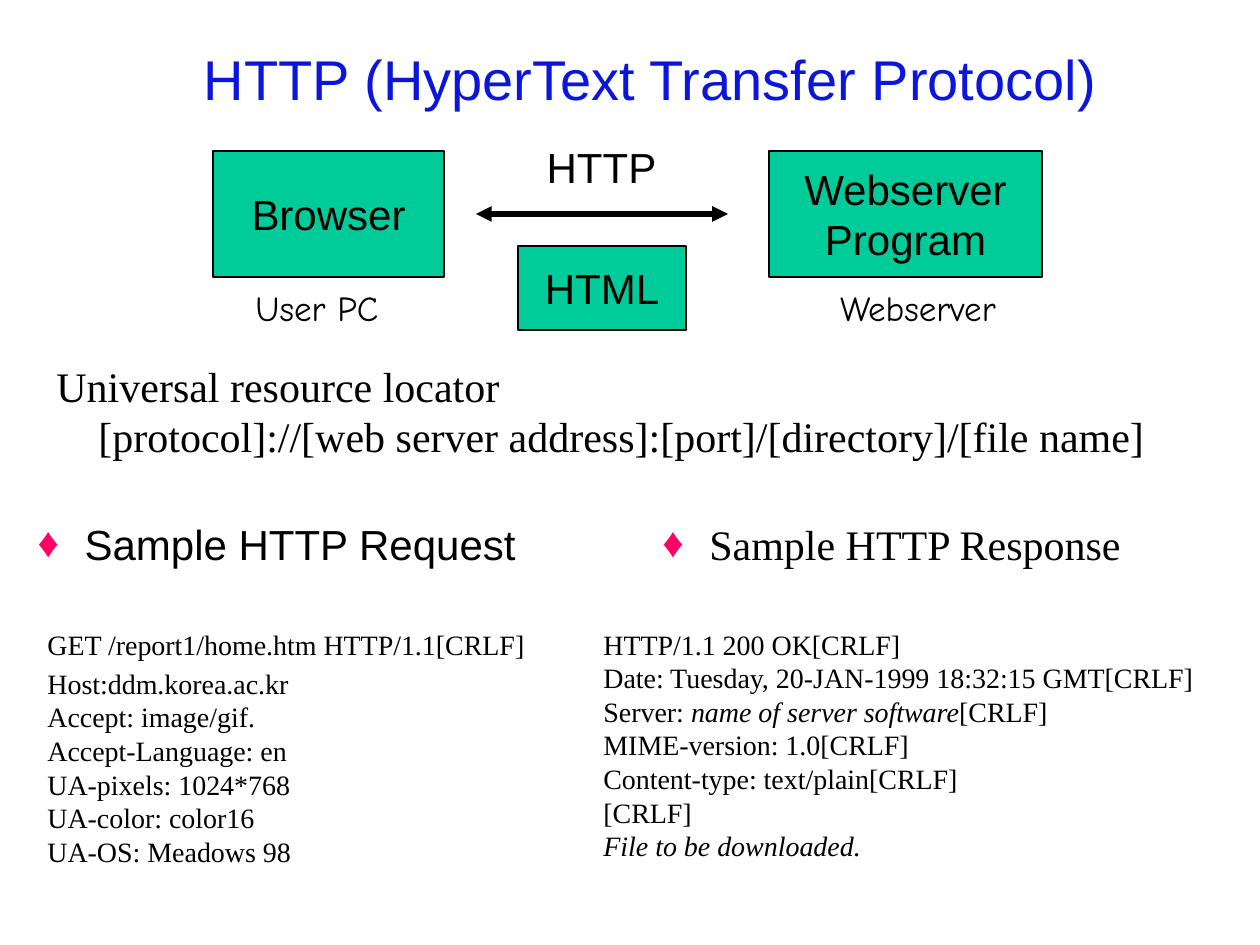
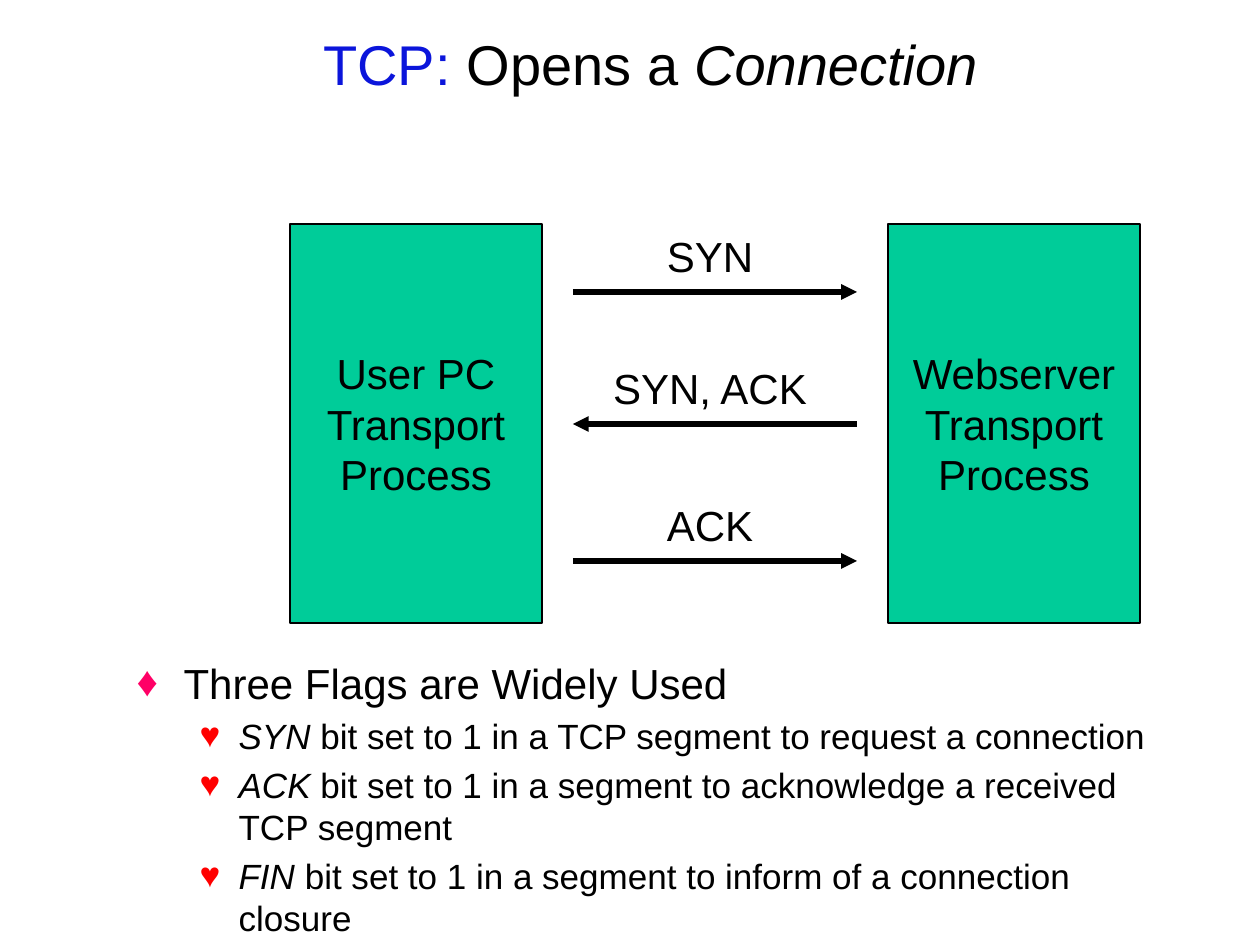
import pptx
import pptx.dml.color
import pptx.enum.shapes
import pptx.enum.text
import pptx.oxml.ns
import pptx.util
from lxml import etree

COLORS = {"black": "000000", "title": "0B15DB", "panel": "00CC99",
          "diamond": "FF0066", "heart": "FF0000"}
SANS, SERIF, COMIC = "Arial", "Times New Roman", "Comic Neue"
EMU_PER_PX = 914400 / 126
PAGE_SIZE = (1260, 945)
TITLE_LEFT, TITLE_WIDTH, TITLE_HEIGHT = 94, 1113, 105

CENTER = pptx.enum.text.PP_ALIGN.CENTER
TOP = pptx.enum.text.MSO_ANCHOR.TOP
MIDDLE = pptx.enum.text.MSO_ANCHOR.MIDDLE


def px(length):
    return pptx.util.Emu(round(length * EMU_PER_PX))


def rgb(name):
    return pptx.dml.color.RGBColor.from_string(COLORS[name])


def italic(text):
    return text, {"italic": True}


def write(para, spans, font=SANS, size=24):
    """Add spans to a paragraph; each is a string or (string, options)."""
    for item in spans:
        text, options = (item, {}) if isinstance(item, str) else item
        span = para.add_run()
        span.text = text
        span.font.name = font
        span.font.size = pptx.util.Pt(size)
        span.font.italic = options.get("italic", False)
        span.font.color.rgb = rgb(options.get("color", "black"))


def next_paragraph(frame):
    first = frame.paragraphs[0]
    return frame.add_paragraph() if first.runs else first


def write_lines(frame, lines, font=SANS, size=24, align=None):
    for line in lines:
        para = next_paragraph(frame)
        para.alignment = align
        write(para, [line] if isinstance(line, str) else line, font, size)


def set_indent(para, left, first=0):
    properties = para._p.get_or_add_pPr()
    properties.set("marL", str(px(left)))
    properties.set("indent", str(px(first)))
    return properties


def add_bullet(frame, spans, level=0, font=SANS):
    symbol, color, left, hanging, size = (
        ("♦", "diamond", 47, -47, 24), ("♥", "heart", 102, -39, 20))[level]
    is_first = not frame.paragraphs[0].runs
    para = next_paragraph(frame)
    para.level = level
    properties = set_indent(para, left, hanging)
    qn = pptx.oxml.ns.qn
    bullet_color = etree.SubElement(properties, qn("a:buClr"))
    etree.SubElement(bullet_color, qn("a:srgbClr"), val=COLORS[color])
    etree.SubElement(properties, qn("a:buFont"), typeface=SANS)
    etree.SubElement(properties, qn("a:buChar"), char=symbol)
    para.space_before = pptx.util.Pt(0 if is_first else size * 0.2)
    write(para, spans, font, size)


def placeholder_frame(holder, bounds, anchor):
    """Move a placeholder and return its text frame, ready to fill."""
    holder.left, holder.top, holder.width, holder.height = map(px, bounds)
    frame = holder.text_frame
    frame.auto_size = pptx.enum.text.MSO_AUTO_SIZE.NONE
    frame.vertical_anchor = anchor
    return frame


def add_page(deck, title_top, title_spans):
    page = deck.slides.add_slide(deck.slide_layouts[1])
    bounds = (TITLE_LEFT, title_top, TITLE_WIDTH, TITLE_HEIGHT)
    frame = placeholder_frame(page.shapes.title, bounds, MIDDLE)
    write_lines(frame, [title_spans], size=32, align=CENTER)
    return page


def body_frame(page, *bounds):
    return placeholder_frame(page.placeholders[1], bounds, TOP)


def add_panel(shapes, bounds, lines):
    panel = shapes.add_shape(pptx.enum.shapes.MSO_SHAPE.RECTANGLE,
                             *map(px, bounds))
    panel.shadow.inherit = False
    panel.fill.solid()
    panel.fill.fore_color.rgb = rgb("panel")
    panel.line.color.rgb = rgb("black")
    panel.line.width = pptx.util.Pt(0.75)
    panel.text_frame.word_wrap = False
    panel.text_frame.vertical_anchor = MIDDLE
    write_lines(panel.text_frame, lines, align=CENTER)


def add_label(shapes, bounds, text, font=SANS, size=24, anchor=TOP):
    frame = shapes.add_textbox(*map(px, bounds)).text_frame
    frame.word_wrap = False
    frame.vertical_anchor = anchor
    write_lines(frame, [text], font, size, CENTER)


def add_text(page, bounds, lines=(), size=16):
    frame = page.shapes.add_textbox(*map(px, bounds)).text_frame
    frame.word_wrap = True
    write_lines(frame, lines, SERIF, size)
    return frame


def add_arrow(shapes, left, right, y, ends):
    """Draw a level line with arrowheads at the named ends: head, tail."""
    arrow = shapes.add_connector(pptx.enum.shapes.MSO_CONNECTOR.STRAIGHT,
                                 px(left), px(y), px(right), px(y))
    arrow.line.color.rgb = rgb("black")
    arrow.line.width = pptx.util.Pt(3)
    qn = pptx.oxml.ns.qn
    line = arrow.line._get_or_add_ln()
    for end in ends:
        etree.SubElement(line, qn(f"a:{end}End"), type="triangle")
    etree.SubElement(arrow._element.spPr, qn("a:effectLst"))


def add_http_page(deck):
    page = add_page(deck, 26, [("HTTP (HyperText Transfer Protocol)",
                                {"color": "title"})])
    add_bullet(body_frame(page, 25, 512, 605, 69), ["Sample HTTP Request"])

    diagram = page.shapes.add_group_shape().shapes
    add_panel(diagram, (213, 151, 231, 126), ["Browser"])
    add_panel(diagram, (769, 151, 273, 126), ["Webserver", "Program"])
    add_arrow(diagram, 476, 728, 214, ("head", "tail"))
    add_panel(diagram, (518, 246, 168, 84), ["HTML"])
    add_label(diagram, (534, 135, 135, 63), "HTTP")
    for left, machine in ((217, "User PC"), (818, "Webserver")):
        add_label(diagram, (left, 281, 200, 53), machine, COMIC, 20, MIDDLE)

    request = add_text(page, (35, 621, 525, 256), [
        "GET /report1/home.htm HTTP/1.1[CRLF]",
        "Host:ddm.korea.ac.kr",
        "Accept: image/gif.",
        "Accept-Language: en",
        "UA-pixels: 1024*768",
        "UA-color: color16",
        "UA-OS: Meadows 98",
    ])
    request.paragraphs[1].space_before = pptx.util.Pt(3.2)

    response_heading = add_text(page, (650, 512, 576, 69))
    add_bullet(response_heading, ["Sample HTTP Response"], font=SERIF)
    add_text(page, (591, 621, 635, 248), [
        "HTTP/1.1 200 OK[CRLF]",
        "Date: Tuesday, 20-JAN-1999 18:32:15 GMT[CRLF]",
        ["Server: ", italic("name of server software"), "[CRLF]"],
        "MIME-version: 1.0[CRLF]",
        "Content-type: text/plain[CRLF]",
        "[CRLF]",
        [italic("File to be downloaded.")],
    ])

    locator = add_text(page, (44, 354, 1142, 113), [
        "Universal resource locator",
        "[protocol]://[web server address]:[port]/[directory]/[file name]",
    ], size=24)
    set_indent(locator.paragraphs[1], 42)


def add_tcp_page(deck):
    page = add_page(deck, 11, [("TCP: ", {"color": "title"}), "Opens a ",
                               italic("Connection")])
    flags = body_frame(page, 124, 651, 1071, 267)
    add_bullet(flags, ["Three Flags are Widely Used"])
    for flag, purpose in (
            ("SYN", "a TCP segment to request a connection"),
            ("ACK", "a segment to acknowledge a received TCP segment"),
            ("FIN", "a segment to inform of a connection closure")):
        add_bullet(flags, [italic(flag), f" bit set to 1 in {purpose}"], 1)

    for left, machine in ((290, "User PC"), (888, "Webserver")):
        add_panel(page.shapes, (left, 224, 252, 399),
                  [machine, "Transport", "Process"])

    label_center, label_rise = 710, 68
    for y, message, width, end in ((292, "SYN", 112, "tail"),
                                   (424, "SYN, ACK", 222, "head"),
                                   (561, "ACK", 112, "tail")):
        add_arrow(page.shapes, 573, 857, y, (end,))
        add_label(page.shapes, (label_center - width // 2, y - label_rise,
                                width, 63), message)


def main():
    deck = pptx.Presentation()
    deck.slide_width, deck.slide_height = map(px, PAGE_SIZE)
    add_http_page(deck)
    add_tcp_page(deck)
    deck.save("out.pptx")


if __name__ == "__main__":
    main()
